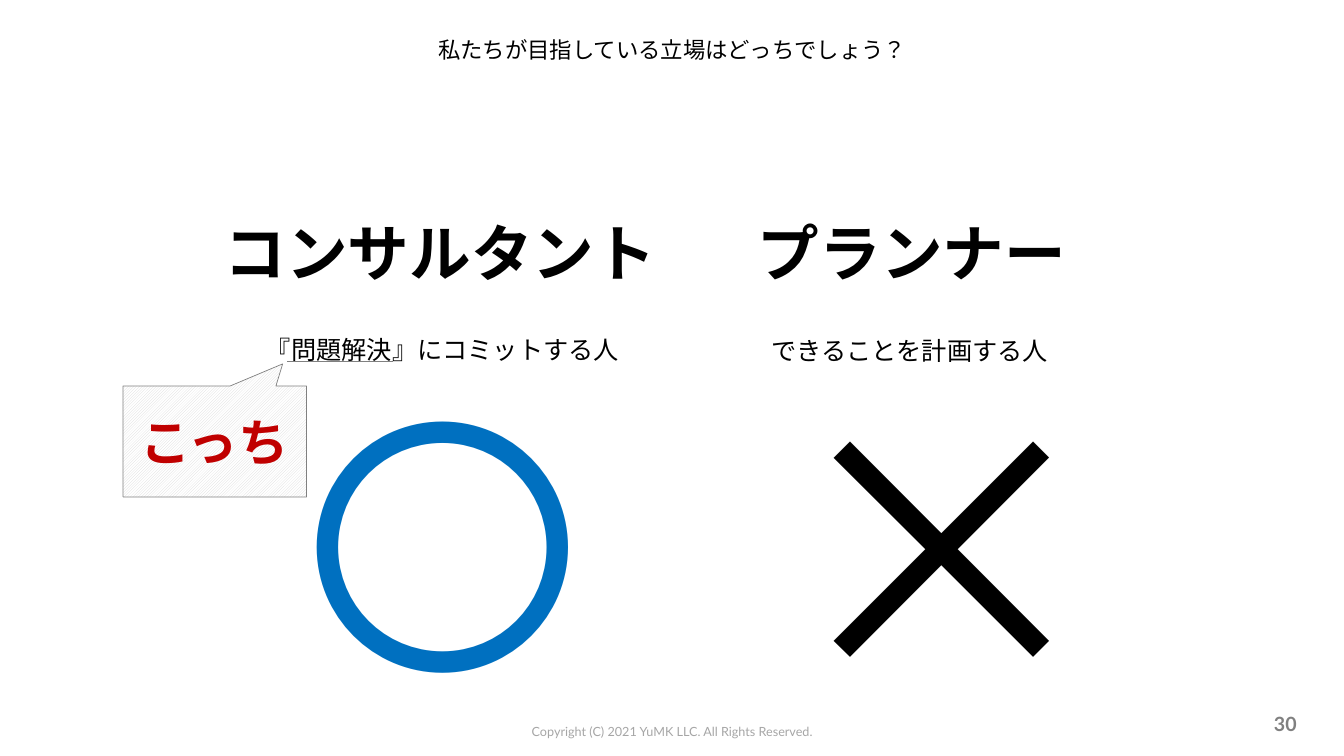
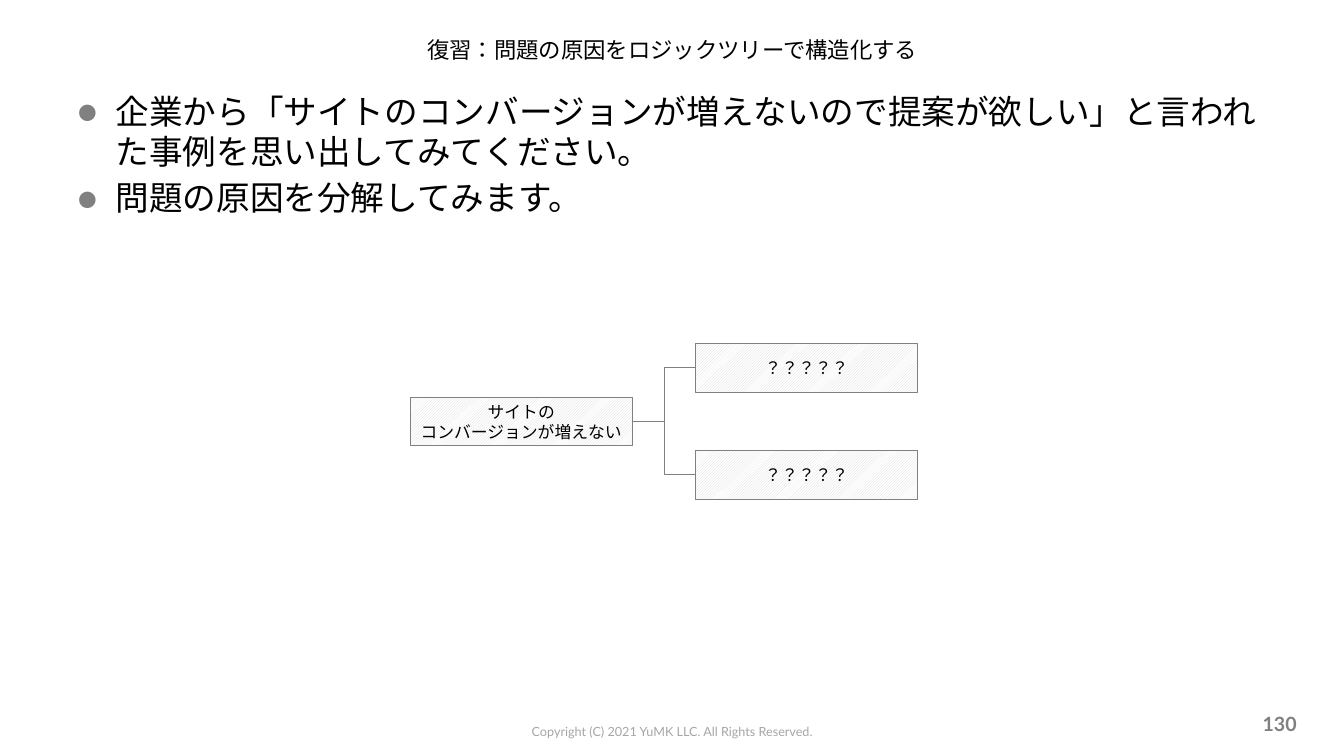
from dataclasses import dataclass

from lxml import etree
from pptx import Presentation
from pptx import util as u
from pptx.dml.color import RGBColor
from pptx.enum import dml, lang, shapes
from pptx.enum import text as text_enum
from pptx.oxml.ns import qn

BLACK = RGBColor(0x00, 0x00, 0x00)
WHITE = RGBColor(0xFF, 0xFF, 0xFF)
GRAY = RGBColor(0x80, 0x80, 0x80)
LIGHT_GRAY = RGBColor(0xD9, 0xD9, 0xD9)
FOOTER_GRAY = RGBColor(0xA6, 0xA6, 0xA6)
BLUE = RGBColor(0x00, 0x70, 0xC0)
RED = RGBColor(0xC0, 0x00, 0x00)

JAPANESE_FONT = "Noto Sans CJK JP"
LATIN_FONT = "Lato"
COPYRIGHT = "Copyright (C) 2021 YuMK LLC. All Rights Reserved."

ALIGN = text_enum.PP_ALIGN
ANCHOR = text_enum.MSO_ANCHOR


@dataclass(frozen=True)
class Box:
    left: float
    top: float
    width: float
    height: float

    def lengths(self) -> tuple:
        return tuple(u.Inches(v) for v in (self.left, self.top, self.width, self.height))


@dataclass(frozen=True)
class Label:
    text: str
    box: Box
    size: float
    color: RGBColor = BLACK
    bold: bool = False
    align: ALIGN = ALIGN.CENTER
    anchor: ANCHOR = ANCHOR.MIDDLE


TITLE_BOX = Box(0.67, 0.22, 12, 0.54)
BODY_BOX = Box(0.67, 0.85, 12, 5.79)
FOOTER_BOX = Box(4.2, 7.13, 4.93, 0.25)
NUMBER_BOX = Box(9.85, 6.98, 3.11, 0.4)

ROLE_LABELS = (
    Label("コンサルタント", Box(2.11, 2.08, 4.52, 0.84), 44, bold=True),
    Label("プランナー", Box(7.4, 2.08, 3.29, 0.84), 44, bold=True),
    Label("『問題解決』にコミットする人", Box(2.54, 3.27, 3.74, 0.4), 18, align=ALIGN.LEFT),
    Label("できることを計画する人", Box(7.55, 3.28, 2.98, 0.4), 18, align=ALIGN.LEFT),
    Label("〇", Box(2.91, 3.67, 2.96, 3.45), 199, BLUE, anchor=ANCHOR.TOP),
    Label("×", Box(7.58, 3.33, 3.52, 4.12), 239, anchor=ANCHOR.TOP),
)


def add_bullet(paragraph) -> None:
    properties = paragraph._p.get_or_add_pPr()
    indent = u.Inches(0.38)
    properties.set("marL", str(indent))
    properties.set("indent", str(-indent))
    bullet_color = etree.SubElement(properties, qn("a:buClr"))
    etree.SubElement(bullet_color, qn("a:srgbClr"), val=str(GRAY))
    etree.SubElement(properties, qn("a:buFont"), typeface=LATIN_FONT)
    etree.SubElement(properties, qn("a:buChar"), char="●")


def write_text(shape, text: str, *, size: float, color: RGBColor = BLACK,
               font: str = JAPANESE_FONT, bold: bool = False,
               align: ALIGN = ALIGN.CENTER, anchor: ANCHOR = ANCHOR.MIDDLE,
               wrap: bool = True, gap: float = 0, bullets: bool = False,
               side_inset: float = 0.1) -> None:
    frame = shape.text_frame
    frame.word_wrap = wrap
    frame.auto_size = text_enum.MSO_AUTO_SIZE.NONE
    frame.vertical_anchor = anchor
    frame.margin_left = frame.margin_right = u.Inches(side_inset)
    frame.margin_top = frame.margin_bottom = u.Inches(0.05)
    for index, line in enumerate(text.split("\n")):
        paragraph = frame.add_paragraph() if index else frame.paragraphs[0]
        if bullets:
            add_bullet(paragraph)
        paragraph.alignment = align
        paragraph.space_before = u.Pt(gap if index else 0)
        run = paragraph.add_run()
        run.text = line
        run.font.size = u.Pt(size)
        run.font.bold = bold
        run.font.color.rgb = color
        run.font.name = font
        if font == JAPANESE_FONT:
            run.font.language_id = lang.MSO_LANGUAGE_ID.JAPANESE
        etree.SubElement(run._r.get_or_add_rPr(), qn("a:ea"), typeface=font)


def add_text(slide, text: str, box: Box, **text_format) -> None:
    write_text(slide.shapes.add_textbox(*box.lengths()), text, **text_format)


def add_hatched_shape(slide, kind: shapes.MSO_SHAPE, text: str, box: Box, **text_format):
    shape = slide.shapes.add_shape(kind, *box.lengths())
    shape.shadow.inherit = False
    shape.fill.patterned()
    shape.fill.pattern = dml.MSO_PATTERN.LIGHT_UPWARD_DIAGONAL
    shape.fill.fore_color.rgb = LIGHT_GRAY
    shape.fill.back_color.rgb = WHITE
    shape.line.color.rgb = GRAY
    shape.line.width = u.Pt(0.5)
    write_text(shape, text, **text_format)
    return shape


def add_line(slide, kind: shapes.MSO_CONNECTOR, start: tuple, end: tuple, width: float):
    points = [u.Inches(value) for value in (*start, *end)]
    connector = slide.shapes.add_connector(kind, *points)
    connector.line.color.rgb = GRAY
    connector.line.width = u.Pt(width)
    etree.SubElement(connector._element.spPr, qn("a:effectLst"))
    return connector


def add_slide(presentation, title: str, number: int):
    slide = presentation.slides.add_slide(presentation.slide_layouts[5])
    placeholder = slide.shapes.title
    placeholder.left, placeholder.top, placeholder.width, placeholder.height = TITLE_BOX.lengths()
    write_text(placeholder, title, size=16)
    add_text(slide, COPYRIGHT, FOOTER_BOX, size=9, color=FOOTER_GRAY, font=LATIN_FONT)
    add_text(slide, str(number), NUMBER_BOX, size=14, color=GRAY, font=LATIN_FONT,
             bold=True, align=ALIGN.RIGHT)
    return slide


def build_role_slide(presentation) -> None:
    slide = add_slide(presentation, "私たちが目指している立場はどっちでしょう？", 30)
    for label in ROLE_LABELS:
        add_text(slide, label.text, label.box, size=label.size, color=label.color,
                 bold=label.bold, align=label.align, anchor=label.anchor, wrap=False)
    callout = add_hatched_shape(slide, shapes.MSO_SHAPE.RECTANGULAR_CALLOUT, "こっち",
                                Box(1.22, 3.83, 1.82, 1.1), size=36, color=RED, bold=True)
    callout.adjustments[0] = 0.37
    callout.adjustments[1] = -0.7
    add_line(slide, shapes.MSO_CONNECTOR.STRAIGHT, (2.85, 3.59), (3.9, 3.59), 0.75)


def build_tree_slide(presentation) -> None:
    slide = add_slide(presentation, "復習：問題の原因をロジックツリーで構造化する", 130)
    add_text(slide,
             "企業から「サイトのコンバージョンが増えないので提案が欲しい」と言われた事例を"
             "思い出してみてください。\n問題の原因を分解してみます。",
             BODY_BOX, size=24, align=ALIGN.LEFT, anchor=ANCHOR.TOP, gap=4, bullets=True)

    width, height = 2.2, 0.48
    root_left, child_left = 4.07, 6.9
    child_tops = (3.41, 4.47)
    root_top = sum(child_tops) / len(child_tops)

    def add_node(text: str, left: float, top: float):
        return add_hatched_shape(slide, shapes.MSO_SHAPE.RECTANGLE, text,
                                 Box(left, top, width, height), size=12, side_inset=0.05)

    root = add_node("サイトの\nコンバージョンが増えない", root_left, root_top)
    for top in child_tops:
        child = add_node("？？？？？", child_left, top)
        branch = add_line(slide, shapes.MSO_CONNECTOR.ELBOW,
                          (root_left + width, root_top + height / 2),
                          (child_left, top + height / 2), 0.5)
        branch.begin_connect(root, 3)
        branch.end_connect(child, 1)


def main() -> None:
    presentation = Presentation()
    presentation.slide_width = u.Inches(13.33)
    presentation.slide_height = u.Inches(7.5)
    build_role_slide(presentation)
    build_tree_slide(presentation)
    presentation.save("out.pptx")


if __name__ == "__main__":
    main()
